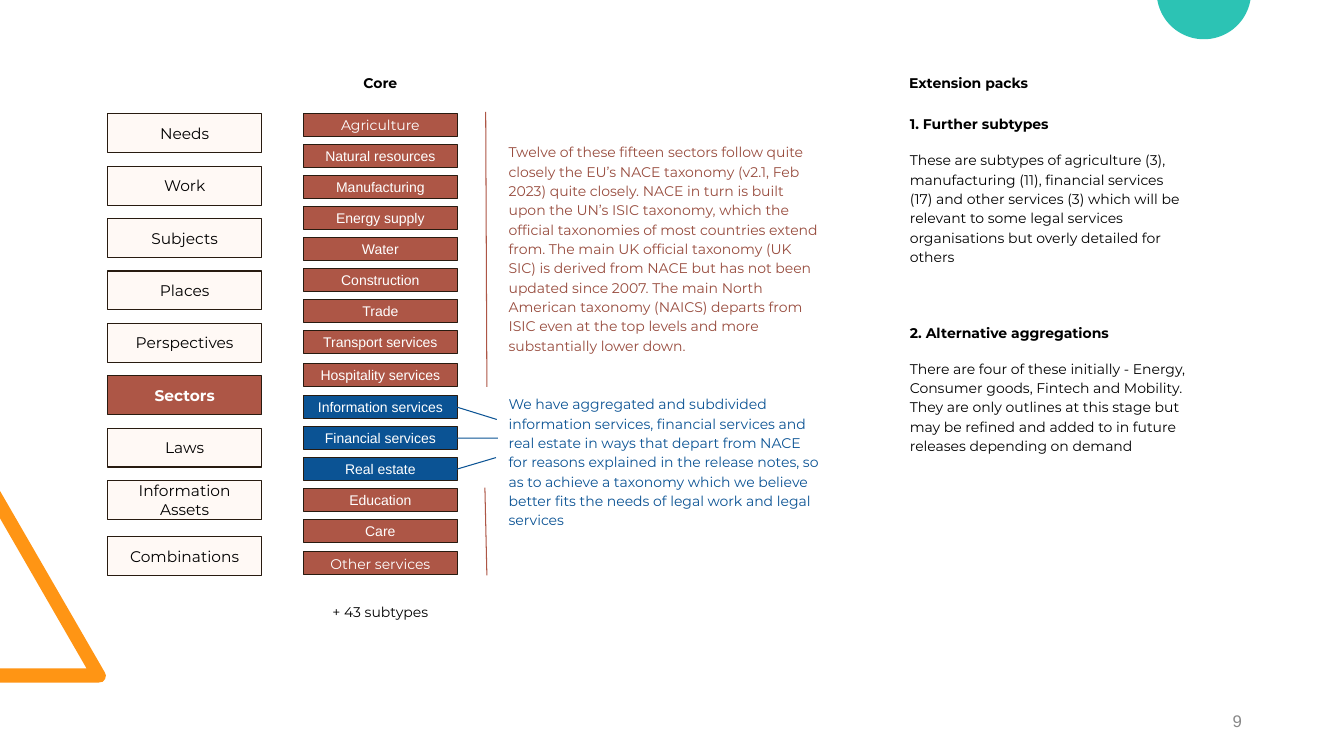
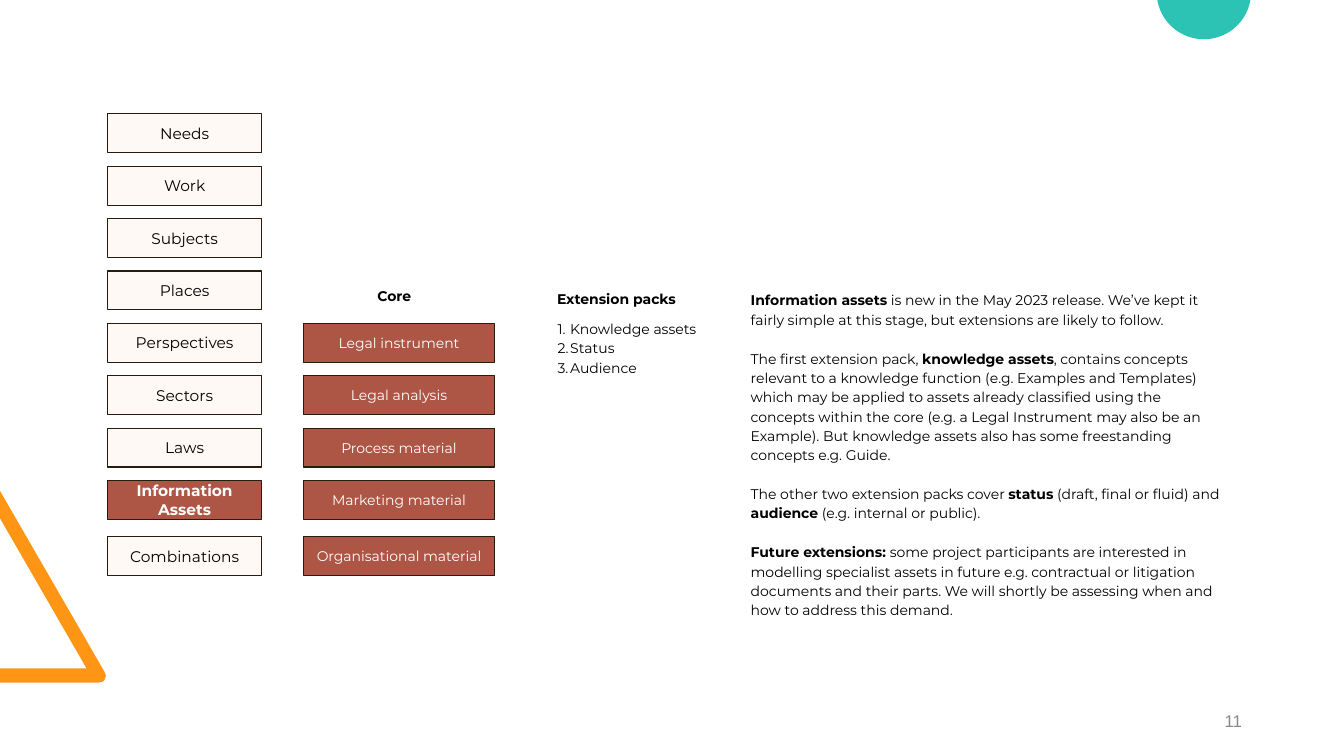
from dataclasses import dataclass
from math import asin, cos, pi, sin
from typing import NamedTuple

from lxml import etree
from pptx import Presentation
from pptx import util as u
from pptx.dml.color import RGBColor
from pptx.enum import shapes, text
from pptx.oxml.ns import qn
from pptx.util import Cm

BLACK = RGBColor(0x00, 0x00, 0x00)
WHITE = RGBColor(0xFF, 0xFF, 0xFF)
CREAM = RGBColor(0xFF, 0xF9, 0xF5)
OUTLINE = RGBColor(0x28, 0x1B, 0x10)
RUST = RGBColor(0xAD, 0x56, 0x46)
RUST_TEXT = RGBColor(0x98, 0x4C, 0x3E)
BLUE = RGBColor(0x0B, 0x53, 0x94)
ORANGE = RGBColor(0xFF, 0x95, 0x14)
TEAL = RGBColor(0x2C, 0xC3, 0xB4)
GREY = RGBColor(0x88, 0x88, 0x88)

MONTSERRAT, ARIAL = "Montserrat", "Arial"
LEFT, CENTER, RIGHT = text.PP_ALIGN.LEFT, text.PP_ALIGN.CENTER, text.PP_ALIGN.RIGHT
TOP, MIDDLE = text.MSO_ANCHOR.TOP, text.MSO_ANCHOR.MIDDLE
LOOSE = 1.15

NAV_LEFT, CORE_LEFT = 2.72, 7.65
BOX_W, NAV_H, CORE_H, HEADING_H = 3.87, 0.98, 0.58, 0.97
NAV_LABELS = ["Needs", "Work", "Subjects", "Places", "Perspectives", "Sectors",
              "Laws", "Information Assets", "Combinations"]
NAV_TOPS = [2.87 + 1.32 * i for i in range(len(NAV_LABELS) - 1)] + [13.52]
CORE_STEP, CORE_WIDE_STEP = 0.78, 0.82

TRIANGLE = [(0, 17.2), (0, 16.84), (2.18, 16.84), (0, 13.06), (0, 12.37), (2.64, 16.94),
            (2.67, 17.02), (2.65, 17.11), (2.59, 17.18), (2.49, 17.2)]


class Area(NamedTuple):
    """Left, top, width and height in centimetres."""
    x: float
    y: float
    w: float
    h: float


class Piece(NamedTuple):
    text: str
    bold: bool = False


@dataclass(frozen=True)
class Para:
    pieces: list[Piece]
    spacing: float = 1.0
    before: float = 0


@dataclass(frozen=True)
class Style:
    color: RGBColor = BLACK
    size: float = 10
    font: str = MONTSERRAT
    align: text.PP_ALIGN = LEFT
    anchor: text.MSO_ANCHOR = TOP


@dataclass(frozen=True)
class Sector:
    label: str
    fill: RGBColor = RUST
    font: str = ARIAL
    wide_gap: bool = False


@dataclass(frozen=True)
class Ray:
    """Line from a sector box to a point beside the note."""
    label: str
    x: float
    y: float


CAPTION = Style(align=CENTER, anchor=MIDDLE)

SECTORS = [
    Sector("Agriculture", font=MONTSERRAT), Sector("Natural resources"),
    Sector("Manufacturing"), Sector("Energy supply"), Sector("Water"),
    Sector("Construction"), Sector("Trade"), Sector("Transport services"),
    Sector("Hospitality services", wide_gap=True),
    Sector("Information services", BLUE, wide_gap=True),
    Sector("Financial services", BLUE), Sector("Real estate", BLUE),
    Sector("Education"), Sector("Care"),
    Sector("Other services", font=MONTSERRAT, wide_gap=True),
]
RAYS = [Ray("Information services", 12.52, 10.57), Ray("Financial services", 12.55, 11.04),
        Ray("Real estate", 12.5, 11.53)]

SECTOR_NOTES = [
    (Area(12.57, 3.31, 8.36, 5.95), RUST_TEXT,
     "Twelve of these fifteen sectors follow quite closely the EU’s NACE taxonomy (v2.1, Feb 2023) "
     "quite closely. NACE in turn is built upon the UN’s ISIC taxonomy, which the official taxonomies "
     "of most countries extend from. The main UK official taxonomy (UK SIC) is derived from NACE but "
     "has not been updated since 2007. The main North American taxonomy (NAICS) departs from ISIC "
     "even at the top levels and more substantially lower down."),
    (Area(12.57, 9.66, 8.36, 3.96), BLUE,
     "We have aggregated and subdivided information services, financial services and real estate in "
     "ways that depart from NACE for reasons explained in the release notes, so as to achieve a "
     "taxonomy which we believe better fits the needs of legal work and legal services"),
]
SECTOR_PACKS = [
    (Area(22.68, 2.67, 7.44, 4.2), "1. Further subtypes",
     "These are subtypes of agriculture (3), manufacturing (11), financial services (17) and other "
     "services (3) which will be relevant to some legal services organisations but overly detailed "
     "for others"),
    (Area(22.68, 7.92, 7.44, 3.7), "2. Alternative aggregations",
     "There are four of these initially - Energy, Consumer goods, Fintech and Mobility. They are only "
     "outlines at this stage but may be refined and added to in future releases depending on demand"),
]

ASSETS = ["Legal instrument", "Legal analysis", "Process material", "Marketing material",
          "Organisational material"]
ASSET_PACKS = ["Knowledge assets", "Status", "Audience"]
ASSET_NOTES = [
    [Piece("Information assets", True),
     Piece(" is new in the May 2023 release. We’ve kept it fairly simple at this stage, but "
           "extensions are likely to follow.")],
    [Piece("The first extension pack, "), Piece("knowledge assets", True),
     Piece(", contains concepts relevant to a knowledge function (e.g. Examples and Templates) which "
           "may be applied to assets already classified using the concepts within the core (e.g. a "
           "Legal Instrument may also be an Example). But knowledge assets also has some "
           "freestanding concepts e.g. Guide.")],
    [Piece("The other two extension packs cover "), Piece("status", True),
     Piece(" (draft, final or fluid) and "), Piece("audience", True),
     Piece(" (e.g. internal or public).")],
    [Piece("Future extensions: ", True),
     Piece("some project participants are interested in modelling specialist assets in future e.g. "
           "contractual or litigation documents and their parts. We will shortly be assessing when "
           "and how to address this demand.")],
]


def to_cm(area: Area) -> list[u.Length]:
    return [Cm(v) for v in area]


def write(sp, paras: list[Para], style: Style) -> None:
    tf = sp.text_frame
    tf.word_wrap = True
    tf.auto_size = text.MSO_AUTO_SIZE.NONE
    tf.vertical_anchor = style.anchor
    tf.margin_left = tf.margin_right = tf.margin_top = tf.margin_bottom = Cm(0.25)
    for i, para in enumerate(paras):
        p = tf.add_paragraph() if i else tf.paragraphs[0]
        p.alignment = style.align
        p.line_spacing = para.spacing
        p.space_before = u.Pt(para.before)
        for piece in para.pieces:
            r = p.add_run()
            r.text = piece.text
            r.font.name, r.font.size, r.font.bold = style.font, u.Pt(style.size), piece.bold
            r.font.color.rgb = style.color


def add_text(s, area: Area, paras: list[Para], style: Style) -> None:
    write(s.shapes.add_textbox(*to_cm(area)), paras, style)


def add_caption(s, area: Area, label: str, bold: bool = True) -> None:
    add_text(s, area, [Para([Piece(label, bold)])], CAPTION)


def add_box(s, area: Area, label: str, fill: RGBColor, style: Style, bold: bool = False):
    sp = s.shapes.add_shape(shapes.MSO_SHAPE.RECTANGLE, *to_cm(area))
    sp.shadow.inherit = False
    sp.fill.solid()
    sp.fill.fore_color.rgb = fill
    sp.line.color.rgb = OUTLINE
    sp.line.width = u.Pt(0.75)
    write(sp, [Para([Piece(label, bold)])], style)
    return sp


def add_line(s, x1: float, y1: float, x2: float, y2: float, color: RGBColor):
    cxn = s.shapes.add_connector(shapes.MSO_CONNECTOR.STRAIGHT, Cm(x1), Cm(y1), Cm(x2), Cm(y2))
    cxn.line.color.rgb = color
    cxn.line.width = u.Pt(0.75)
    etree.SubElement(cxn.element.spPr, qn("a:effectLst"))
    return cxn


def add_outline(s, points: list[tuple[float, float]], fill: RGBColor) -> None:
    start, *rest = [(Cm(x), Cm(y)) for x, y in points]
    fb = s.shapes.build_freeform(*start)
    fb.add_line_segments(rest, close=True)
    sp = fb.convert_to_shape()
    sp.shadow.inherit = False
    sp.fill.solid()
    sp.fill.fore_color.rgb = fill
    sp.line.fill.background()


def disc_segment(cx: float, cy: float, radius: float, steps: int = 60) -> list[tuple[float, float]]:
    """Points of the part of a disc that lies below the top edge of the slide."""
    first = asin(-cy / radius)
    angles = [first + (pi - 2 * first) * i / steps for i in range(steps + 1)]
    return [(cx + radius * cos(a), max(0, cy + radius * sin(a))) for a in angles]


def place(sp, area: Area) -> None:
    sp.left, sp.top, sp.width, sp.height = to_cm(area)


def number_list(sp) -> None:
    for p in sp.text_frame.paragraphs:
        pPr = p._p.get_or_add_pPr()
        pPr.set("marL", str(Cm(0.32)))
        pPr.set("indent", str(-Cm(0.32)))
        etree.SubElement(pPr, qn("a:buFont"), typeface=MONTSERRAT)
        etree.SubElement(pPr, qn("a:buAutoNum"), type="arabicPeriod")


def new_slide(prs, layout: int, number: int, current: str, title_area: Area):
    """Add a slide with the shared decoration, navigation column and Core title."""
    s = prs.slides.add_slide(prs.slide_layouts[layout])
    place(s.shapes.title, title_area)
    write(s.shapes.title, [Para([Piece("Core", True)])], CAPTION)
    add_outline(s, TRIANGLE, ORANGE)
    add_outline(s, disc_segment(30.34, -0.2, 1.19), TEAL)
    add_text(s, Area(23.93, 17.65, 7.62, 1.02), [Para([Piece(str(number))])],
             Style(GREY, 12, ARIAL, RIGHT, MIDDLE))
    for label, top in zip(NAV_LABELS, NAV_TOPS):
        active = label == current
        add_box(s, Area(NAV_LEFT, top, BOX_W, NAV_H), label, RUST if active else CREAM,
                Style(WHITE if active else BLACK, 11, align=CENTER, anchor=MIDDLE), active)
    return s


def sectors_slide(prs) -> None:
    s = new_slide(prs, 5, 9, "Sectors", Area(CORE_LEFT, 1.6, BOX_W, HEADING_H))
    boxes = {}
    top = NAV_TOPS[0]
    for i, sector in enumerate(SECTORS):
        if i:
            top += CORE_WIDE_STEP if sector.wide_gap else CORE_STEP
        boxes[sector.label] = add_box(
            s, Area(CORE_LEFT, top, BOX_W, CORE_H), sector.label, sector.fill,
            Style(WHITE, font=sector.font, align=CENTER, anchor=MIDDLE))
    add_caption(s, Area(CORE_LEFT, 14.94, BOX_W, HEADING_H), "+ 43 subtypes", bold=False)

    add_line(s, 12.24, 2.82, 12.27, 9.75, RUST)
    add_line(s, 12.22, 12.29, 12.27, 14.5, RUST)
    for ray in RAYS:
        cxn = add_line(s, CORE_LEFT + BOX_W, ray.y, ray.x, ray.y, BLUE)
        cxn.begin_connect(boxes[ray.label], 3)
    for area, color, note in SECTOR_NOTES:
        add_text(s, area, [Para([Piece(note)], LOOSE)], Style(color))

    add_caption(s, Area(22.1, 1.6, 4.62, HEADING_H), "Extension packs")
    for area, heading, body in SECTOR_PACKS:
        add_text(s, area, [Para([Piece(heading, True)]), Para([Piece(body)], LOOSE, 12)], Style())


def assets_slide(prs) -> None:
    s = new_slide(prs, 1, 11, "Information Assets", Area(8, 6.96, BOX_W, HEADING_H))
    for label, top in zip(ASSETS, NAV_TOPS[-len(ASSETS):]):
        add_box(s, Area(CORE_LEFT, top, 4.81, NAV_H), label, RUST,
                Style(WHITE, align=CENTER, anchor=MIDDLE))
    add_caption(s, Area(13.6, 7.04, BOX_W, HEADING_H), "Extension packs")
    packs = s.placeholders[1]
    place(packs, Area(13.8, 7.75, 4.62, 1.99))
    write(packs, [Para([Piece(label)], LOOSE) for label in ASSET_PACKS], Style(anchor=MIDDLE))
    number_list(packs)
    add_text(s, Area(18.67, 7.04, 12.37, 8.9),
             [Para(pieces, LOOSE, 14 if i else 0) for i, pieces in enumerate(ASSET_NOTES)], Style())


def main() -> None:
    prs = Presentation()
    prs.slide_width, prs.slide_height = Cm(33.87), Cm(19.05)
    sectors_slide(prs)
    assets_slide(prs)
    prs.save("out.pptx")


if __name__ == "__main__":
    main()
